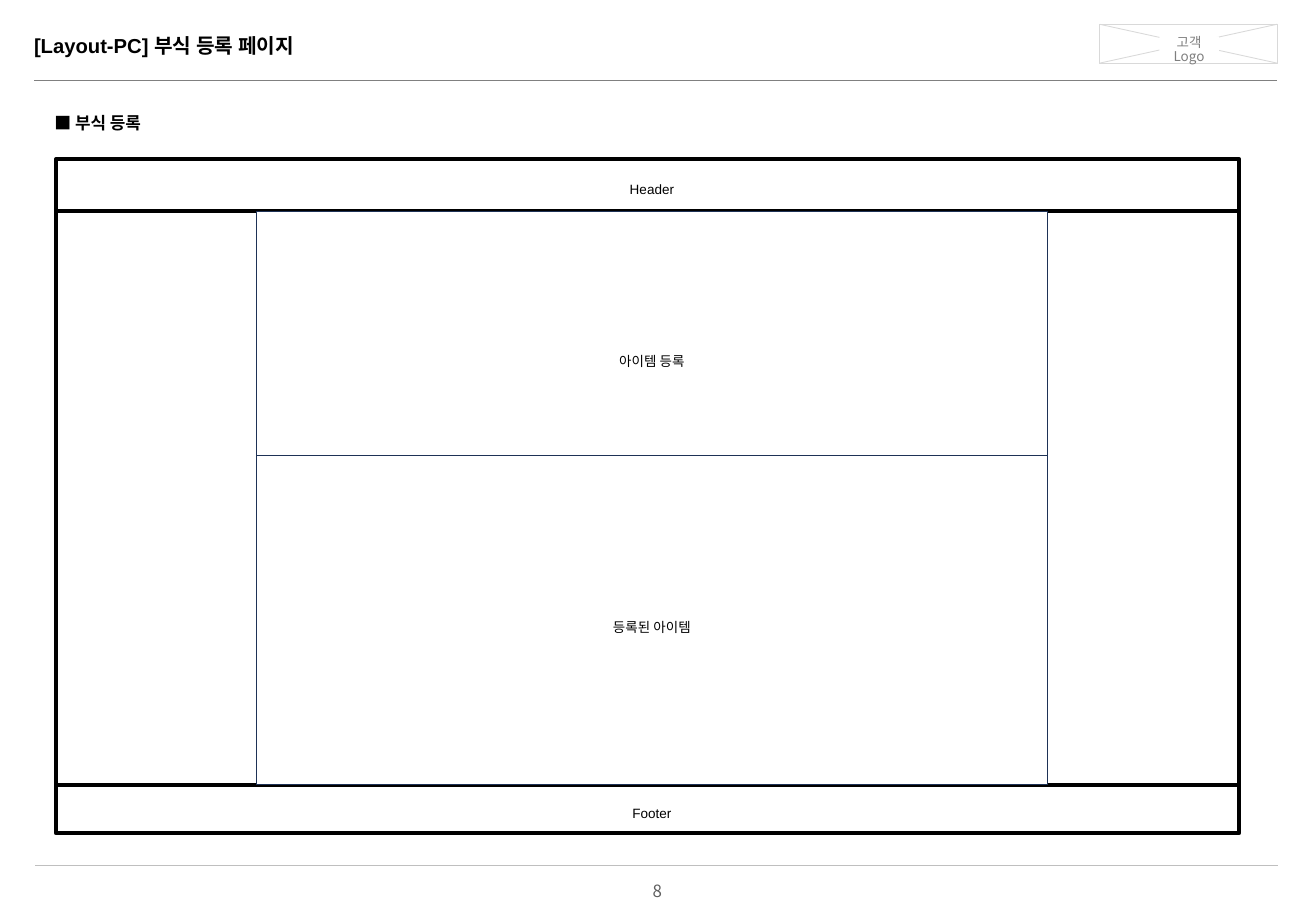
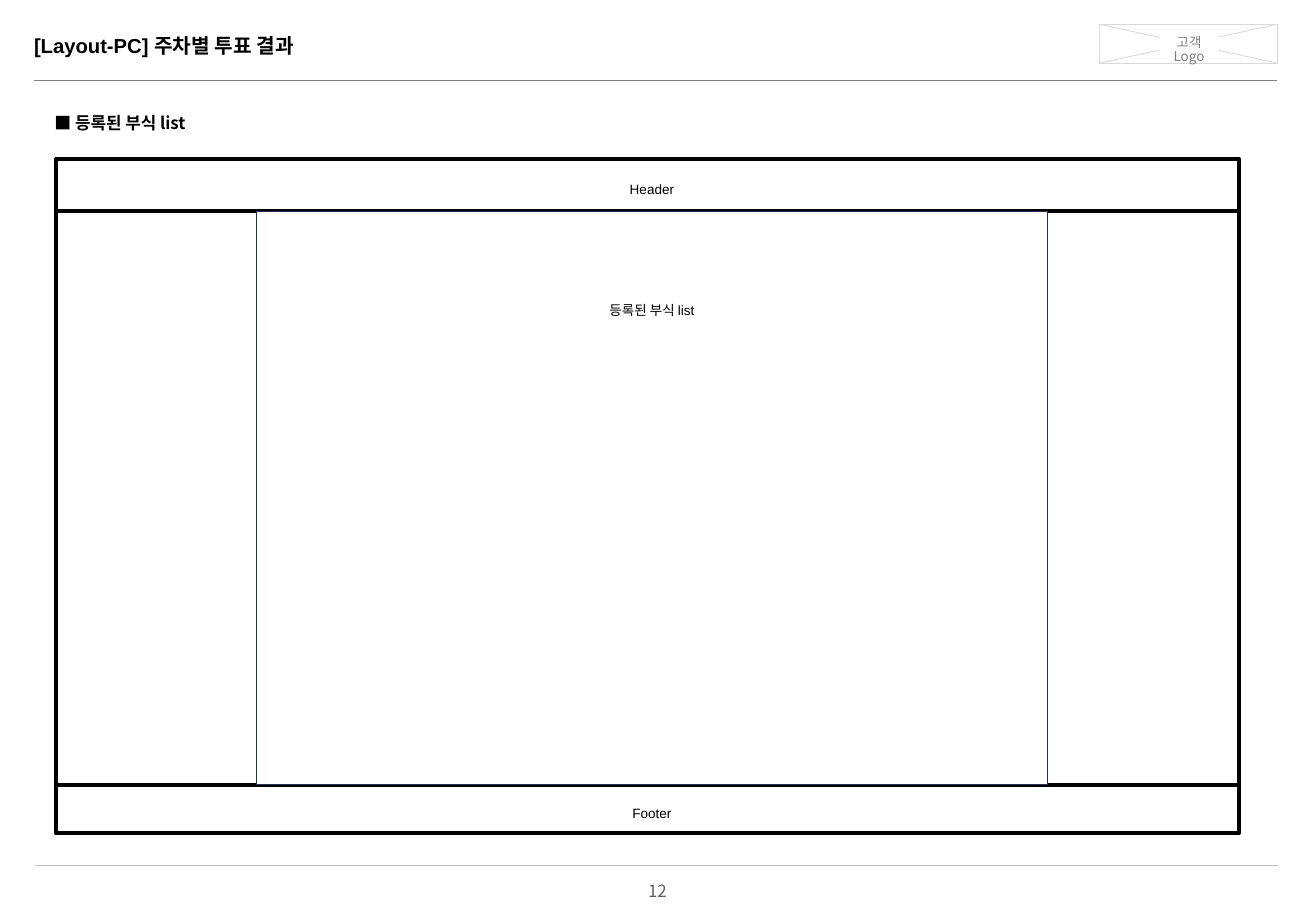
from pptx import Presentation
from pptx.dml.color import RGBColor
from pptx.enum import shapes, text
from pptx.util import Inches, Pt
from lxml import etree

BLACK = RGBColor(0x00, 0x00, 0x00)
WHITE = RGBColor(0xFF, 0xFF, 0xFF)
NAVY = RGBColor(0x1E, 0x32, 0x56)
TITLE_RULE = RGBColor(0x80, 0x80, 0x80)
FOOTER_RULE = RGBColor(0xBF, 0xBF, 0xBF)
LOGO_LINE = RGBColor(0xD9, 0xD9, 0xD9)
LOGO_TEXT = RGBColor(0x7F, 0x7F, 0x7F)
PAGE_TEXT = RGBColor(0x5F, 0x5F, 0x5F)

LATIN = "Arial"
KOREAN = "Noto Sans CJK KR"
A = "{http://schemas.openxmlformats.org/drawingml/2006/main}"

FRAME = (0.46, 1.31, 9.74, 5.55)
LOGO = (9.05, 0.2, 1.46, 0.32)
HEADER_H = 0.43
FOOTER_H = 0.4
SIDE_W = 1.65
PANEL_W = 6.51
LABEL_W = 1.38
LABEL_H = 0.15


def inches(*values):
    return [Inches(v) for v in values]


def add_line(s, start, end, color, width):
    line = s.shapes.add_connector(
        shapes.MSO_CONNECTOR.STRAIGHT, *inches(*start, *end))
    line.line.color.rgb = color
    line.line.width = Pt(width)
    etree.SubElement(line._element.spPr, A + "effectLst")


def add_box(s, box, color=None, width=0):
    sp = s.shapes.add_shape(shapes.MSO_SHAPE.RECTANGLE, *inches(*box))
    sp.shadow.inherit = False
    sp.fill.solid()
    sp.fill.fore_color.rgb = WHITE
    if color is None:
        sp.line.fill.background()
    else:
        sp.line.color.rgb = color
        sp.line.width = Pt(width)
    return sp


def write(sp, content, size, font, color=BLACK, bold=False,
          align=text.PP_ALIGN.CENTER, anchor=text.MSO_ANCHOR.TOP,
          margins=(0, 0), spacing=None, wrap=True):
    tf = sp.text_frame
    tf.text = content
    tf.word_wrap = wrap
    tf.vertical_anchor = anchor
    tf.margin_left = tf.margin_right = Inches(margins[0])
    tf.margin_top = tf.margin_bottom = Inches(margins[1])
    p = tf.paragraphs[0]
    p.alignment = align
    p.line_spacing = spacing
    for r in p.runs:
        r.font.size = Pt(size)
        r.font.name = font
        r.font.bold = bold
        r.font.color.rgb = color
        east_asian = etree.SubElement(r.font._element, A + "ea")
        east_asian.set("typeface", KOREAN)


def add_label(s, left, top, content):
    label = s.shapes.add_textbox(*inches(left, top, LABEL_W, LABEL_H))
    write(label, content, 8, LATIN, spacing=1.2)


def add_logo_box(s, box):
    x, y, w, h = box
    add_box(s, box, LOGO_LINE, 0.5)
    add_line(s, (x, y + h), (x + w, y), LOGO_LINE, 0.5)
    add_line(s, (x, y), (x + w, y + h), LOGO_LINE, 0.5)
    caption = add_box(s, (x + 0.49, y + 0.1, 0.49, 0.13))
    write(caption, "고객\vLogo", 8, KOREAN, LOGO_TEXT, spacing=0.88, wrap=False)


def add_page_base(s, title, heading, page):
    add_line(s, (0.29, 7.12), (10.52, 7.12), FOOTER_RULE, 0.25)
    add_line(s, (0.28, 0.66), (10.51, 0.66), TITLE_RULE, 0.25)
    number = s.shapes.add_textbox(*inches(5.15, 7.25, 0.52, 0.22))
    write(number, str(page), 10, KOREAN, PAGE_TEXT)
    add_logo_box(s, LOGO)

    sp = s.shapes.title
    sp.left, sp.top, sp.width, sp.height = inches(0.18, 0.22, 4.24, 0.31)
    write(sp, title, 12, LATIN, bold=True, align=text.PP_ALIGN.LEFT,
          anchor=text.MSO_ANCHOR.MIDDLE, margins=(0.1, 0.05))

    sp = s.shapes.add_textbox(*inches(0.35, 0.88, 1.39, 0.27))
    write(sp, "■ " + heading, 10, KOREAN, bold=True,
          align=text.PP_ALIGN.LEFT, margins=(0.1, 0.05), wrap=False)


def add_wireframe(s, box, panels):
    x, y, w, h = box
    body_top = y + HEADER_H
    body_bottom = y + h - FOOTER_H
    panel_left = x + SIDE_W
    label_left = panel_left + (PANEL_W - LABEL_W) / 2

    add_box(s, box, BLACK, 2.25)
    for rule_y in (body_top, body_bottom):
        add_line(s, (x, rule_y), (x + w, rule_y), BLACK, 2.25)
    add_label(s, label_left, y + 0.15, "Header")
    add_label(s, label_left, body_bottom + 0.14, "Footer")

    top = body_top
    for content, height, label_offset in panels:
        add_box(s, (panel_left, top, PANEL_W, height), NAVY, 1)
        add_label(s, label_left, top + label_offset, content)
        top += height


PAGES = [
    ("[Layout-PC] 부식 등록 페이지", "부식 등록", 8,
     [("아이템 등록", 2.01, 1.14), ("등록된 아이템", 2.71, 1.32)]),
    ("[Layout-PC] 주차별 투표 결과", "등록된 부식 list", 12,
     [("등록된 부식 list", 4.72, 0.72)]),
]


def main():
    prs = Presentation()
    prs.slide_width, prs.slide_height = inches(10.83, 7.5)
    for title, heading, page, panels in PAGES:
        s = prs.slides.add_slide(prs.slide_layouts[5])
        add_page_base(s, title, heading, page)
        add_wireframe(s, FRAME, panels)
    prs.save("out.pptx")


if __name__ == "__main__":
    main()
